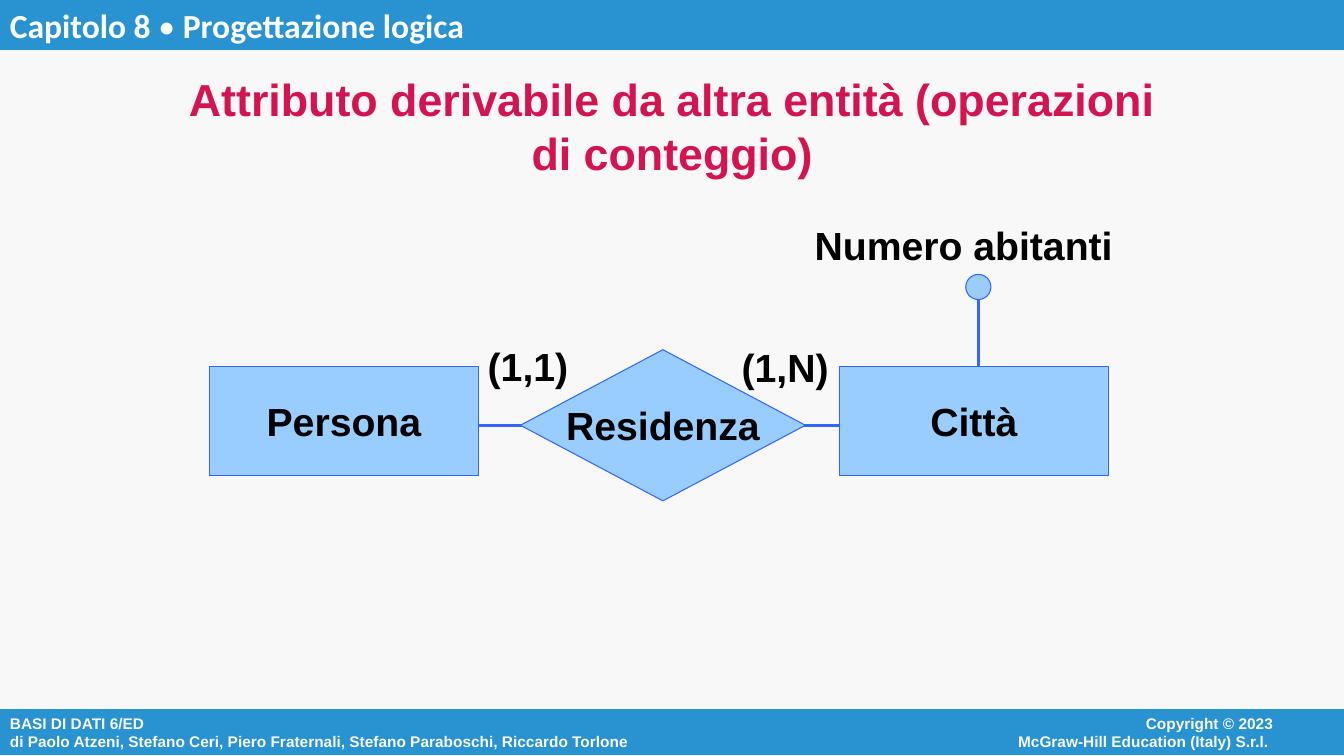
from pptx import Presentation
from pptx.dml.color import RGBColor
from pptx.enum import shapes, text
from pptx.util import Pt
from lxml import etree

COLORS = {"paper": "F8F8F8", "band": "2993D1", "white": "FFFFFF", "title": "D41450",
          "entity": "99CCFF", "outline": "3366FF", "ink": "000000"}
DRAWING = "{http://schemas.openxmlformats.org/drawingml/2006/main}"
MIDDLE, TOP = text.MSO_ANCHOR.MIDDLE, text.MSO_ANCHOR.TOP
LEFT, CENTER, RIGHT = text.PP_ALIGN.LEFT, text.PP_ALIGN.CENTER, text.PP_ALIGN.RIGHT


def write(shape, lines, size, color, align=LEFT, anchor=TOP, wrap=True, font="Arial"):
    frame = shape.text_frame
    frame.word_wrap = wrap
    frame.auto_size = text.MSO_AUTO_SIZE.NONE
    frame.vertical_anchor = anchor
    for index, line in enumerate(lines):
        paragraph = frame.add_paragraph() if index else frame.paragraphs[0]
        paragraph.text = line
        paragraph.alignment = align
        for run in paragraph.runs:
            run.font.name = font
            run.font.size = Pt(size)
            run.font.bold = True
            run.font.color.rgb = RGBColor.from_string(COLORS[color])


def add_box(kind, box, fill, line, width):
    shape = slide.shapes.add_shape(kind, *map(Pt, box))
    shape.shadow.inherit = False
    shape.fill.solid()
    shape.fill.fore_color.rgb = RGBColor.from_string(COLORS[fill])
    shape.line.color.rgb = RGBColor.from_string(COLORS[line])
    shape.line.width = Pt(width)
    return shape


presentation = Presentation()
presentation.slide_width, presentation.slide_height = Pt(960), Pt(540)
slide = presentation.slides.add_slide(presentation.slide_layouts[5])
slide.background.fill.solid()
slide.background.fill.fore_color.rgb = RGBColor.from_string(COLORS["paper"])

title = slide.shapes.title
title.left, title.top, title.width, title.height = Pt(111.6), Pt(75.6), Pt(737.3), Pt(28)
write(title, ["Attributo derivabile da altra entità (operazioni di conteggio)"],
      32, "title", CENTER, MIDDLE)

RECTANGLE = shapes.MSO_SHAPE.RECTANGLE
footer = add_box(RECTANGLE, (0, 506.2, 961, 33.8), "band", "paper", 0.75)
write(footer, ["BASI DI DATI 6/ED\ndi Paolo Atzeni, Stefano Ceri, Piero Fraternali, "
               "Stefano Paraboschi, Riccardo Torlone"], 11, "paper", anchor=MIDDLE)
rights = slide.shapes.add_textbox(Pt(640), Pt(506.2), Pt(276.5), Pt(33))
write(rights, ["Copyright © 2023", "McGraw-Hill Education (Italy) S.r.l. "], 11, "paper", RIGHT)

header = add_box(RECTANGLE, (0, 0, 961, 36), "band", "paper", 0)
chapter = header.text_frame.paragraphs[0]
for part in ("Capitolo 8 ", "•", " Progettazione logica"):
    run = chapter.add_run()
    run.text = part
    run.font.name = "Calibri"
    run.font.size = Pt(24)
    run.font.bold = part != "•"
    run.font.color.rgb = RGBColor.from_string(COLORS["white"])
chapter.alignment = LEFT
header.text_frame.vertical_anchor = TOP

for start_x, start_y, end_x, end_y in ((317.5, 303.8, 611.3, 303.8), (699, 213, 699, 267)):
    connector = slide.shapes.add_connector(
        shapes.MSO_CONNECTOR.STRAIGHT, Pt(start_x), Pt(start_y), Pt(end_x), Pt(end_y))
    connector.line.color.rgb = RGBColor.from_string(COLORS["outline"])
    connector.line.width = Pt(2.25)
    etree.SubElement(connector.element.spPr, DRAWING + "effectLst")

for kind, name, box in (
    (shapes.MSO_SHAPE.DIAMOND, "Residenza", (371.7, 249.8, 203.6, 108)),
    (RECTANGLE, "Persona", (149.6, 261.8, 192, 78)),
    (RECTANGLE, "Città", (599.6, 261.8, 192, 78)),
):
    write(add_box(kind, box, "entity", "outline", 0.75), [name], 28, "ink",
          CENTER, MIDDLE, wrap=False)

add_box(shapes.MSO_SHAPE.OVAL, (689.8, 196, 18, 18), "entity", "outline", 0.75)

for label, box in (
    ("Numero abitanti", (574.8, 154.2, 227.4, 40.3)),
    ("(1,1)", (341.3, 241.2, 72, 40.3)),
    ("(1,N)", (522.7, 241.9, 76.3, 40.3)),
):
    write(slide.shapes.add_textbox(*map(Pt, box)), [label], 28, "ink", wrap=False)

presentation.save("out.pptx")
